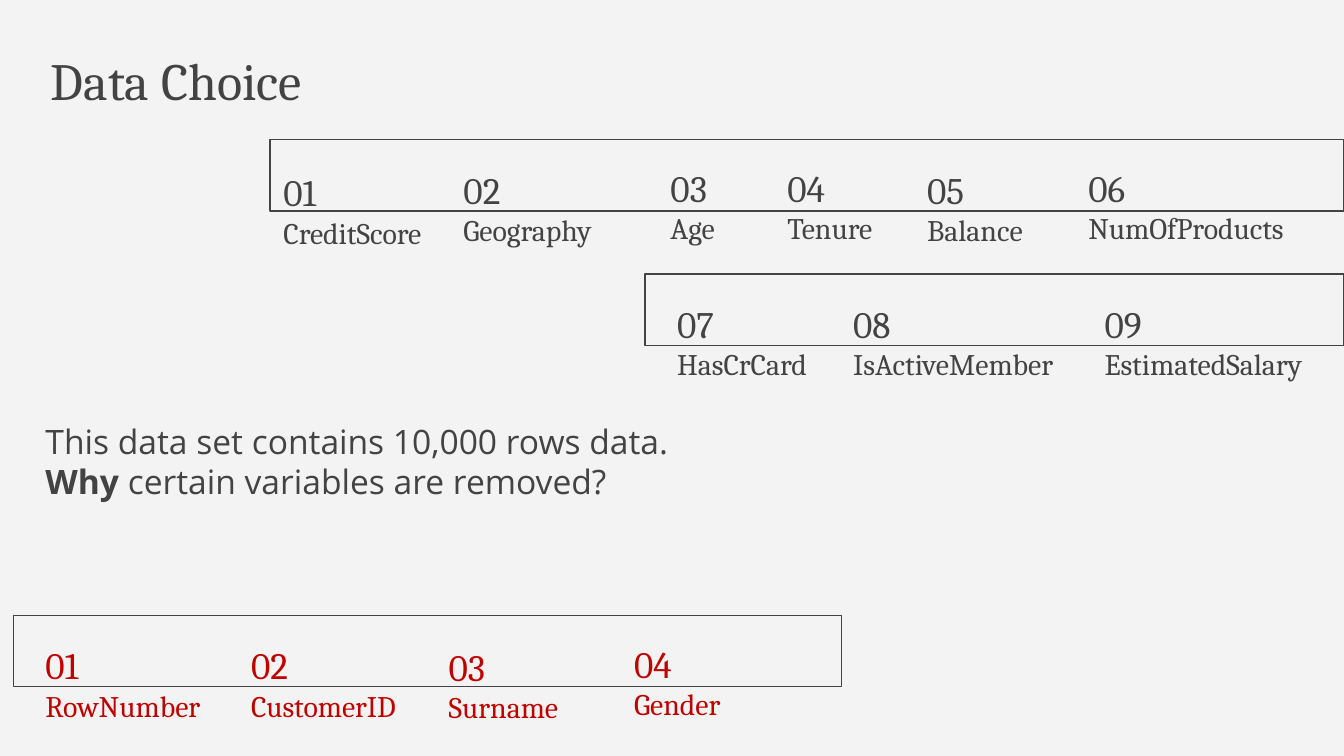
from pptx import Presentation
from pptx.dml.color import RGBColor
from pptx.enum.shapes import MSO_SHAPE
from pptx.enum.text import MSO_ANCHOR
from pptx.util import Inches, Pt

COLORS = {"background": "F3F3F3", "ink": "434343", "removed": "C00000"}
SERIF, SANS = "Cambria", "Open Sans"
SLIDE_W = Inches(10)
SLIDE_H = SLIDE_W * 9 // 16
BAND_H, LABEL_H = 9.42, 11.2  # percent of the slide's height

# Bands: box (left, top, width), colour, and variables as
# (name, offset from the band's left, drop from its top, width).
# All lengths are percent of the slide's width or height.
BANDS = [
    ((20.1, 18.5, 79.9), "ink", 1, [
        ("CreditScore", 0, 5.16, 13.8),
        ("Geography", 13.4, 4.8, 13.8),
        ("Age", 28.8, 4.62, 7.2),
        ("Tenure", 37.5, 4.62, 10.1),
        ("Balance", 47.9, 4.8, 10.1),
        ("NumOfProducts", 59.9, 4.62, 18.3)]),
    ((48, 36.27, 52), "ink", 7, [
        ("HasCrCard", 1.4, 4.8, 18.3),
        ("IsActiveMember", 14.5, 4.8, 18.3),
        ("EstimatedSalary", 33.2, 4.8, 18.3)]),
    ((1, 81.42, 61.6), "removed", 1, [
        ("RowNumber", 1.4, 4.8, 18.3),
        ("CustomerID", 16.7, 4.8, 18.3),
        ("Surname", 31.4, 4.98, 18.3),
        ("Gender", 45.2, 4.62, 13.8)]),
]


def rgb(color):
    return RGBColor.from_string(COLORS[color])


def place(left, top, width, height):
    """Turn percent of the slide into lengths."""
    return (int(SLIDE_W * left / 100), int(SLIDE_H * top / 100),
            int(SLIDE_W * width / 100), int(SLIDE_H * height / 100))


def add_text_frame(slide, box, anchor=MSO_ANCHOR.TOP):
    frame = slide.shapes.add_textbox(*place(*box)).text_frame
    layout = {"word_wrap": True, "vertical_anchor": anchor}
    layout |= {f"margin_{side}": Inches(0.1)
               for side in ("left", "top", "right", "bottom")}
    for key, value in layout.items():
        setattr(frame, key, value)
    return frame


def add_run(paragraph, text, size, face=SERIF, color="ink", bold=False):
    run = paragraph.add_run()
    run.text = text
    for key, value in {"size": Pt(size), "name": face, "bold": bold}.items():
        setattr(run.font, key, value)
    run.font.color.rgb = rgb(color)


def add_heading(slide, box):
    add_run(add_text_frame(slide, box).paragraphs[0], "Data Choice", 28)


def add_variable_band(slide, box, color, first, variables):
    """Draw an outlined band with numbered variables across its lower edge."""
    left, top, width = box
    band = slide.shapes.add_shape(
        MSO_SHAPE.RECTANGLE, *place(left, top, width, BAND_H))
    band.shadow.inherit = False
    band.fill.background()
    band.line.color.rgb = rgb("ink")
    band.line.width = Pt(0.75)

    for number, (name, offset, drop, label_w) in enumerate(variables, first):
        label_box = (left + offset, top + drop, label_w, LABEL_H)
        label = add_text_frame(slide, label_box, MSO_ANCHOR.BOTTOM).paragraphs[0]
        add_run(label, f"{number:02d}", 20, color=color)
        label.add_line_break()
        add_run(label, name, 16, color=color)


def add_question(slide, box):
    frame = add_text_frame(slide, box)
    add_run(frame.paragraphs[0], "This data set contains 10,000 rows data.",
            18, SANS)
    question = frame.add_paragraph()
    add_run(question, "Why", 18, SANS, bold=True)
    add_run(question, " certain variables are removed?", 18, SANS)


def main():
    deck = Presentation()
    deck.slide_width, deck.slide_height = SLIDE_W, SLIDE_H
    slide = deck.slides.add_slide(deck.slide_layouts[6])
    slide.background.fill.solid()
    slide.background.fill.fore_color.rgb = rgb("background")

    add_heading(slide, (2.8, 4.62, 23.1, 18.31))
    for band in BANDS:
        add_variable_band(slide, *band)
    add_question(slide, (2.4, 53.87, 84.4, 18.31))
    deck.save("out.pptx")


if __name__ == "__main__":
    main()
